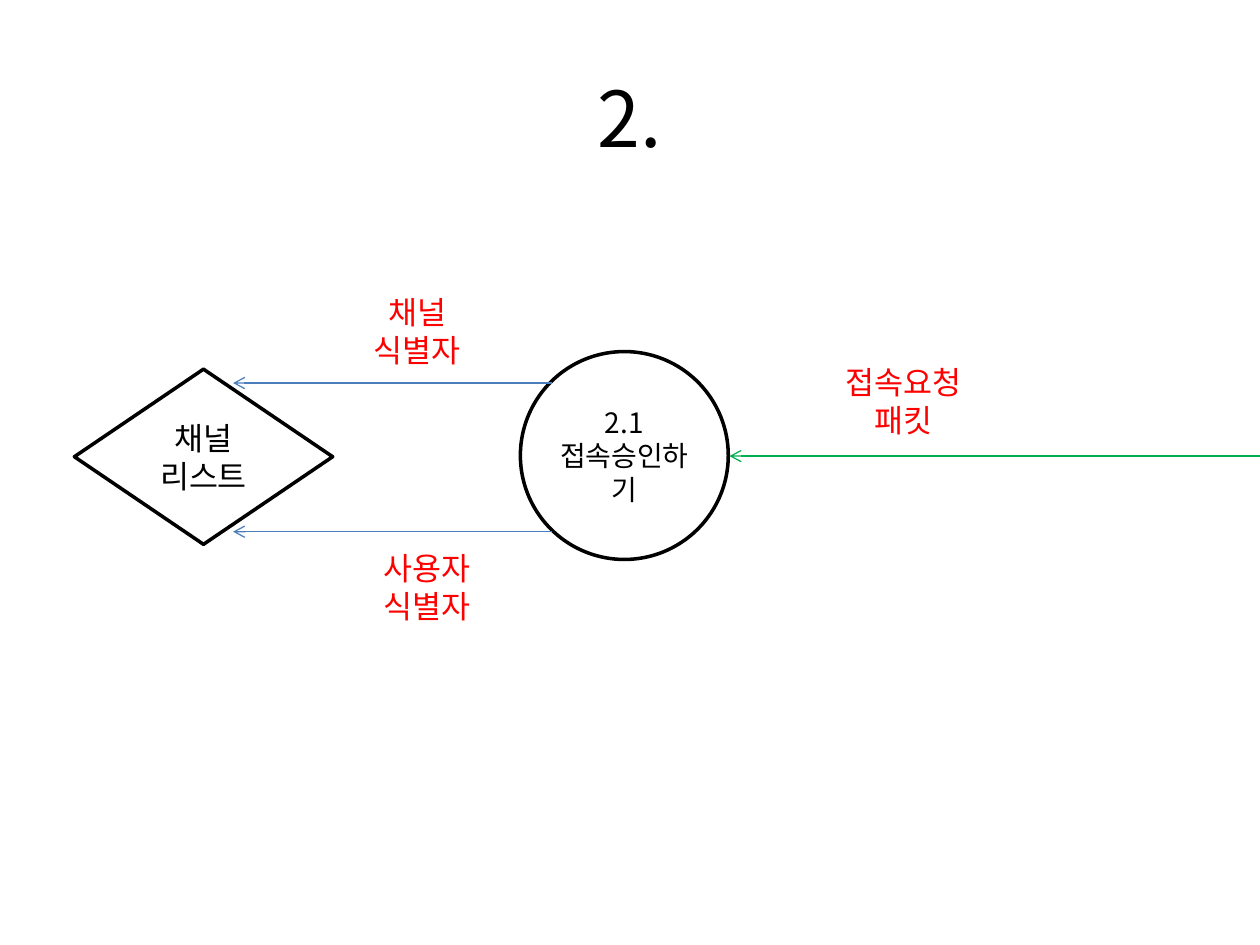
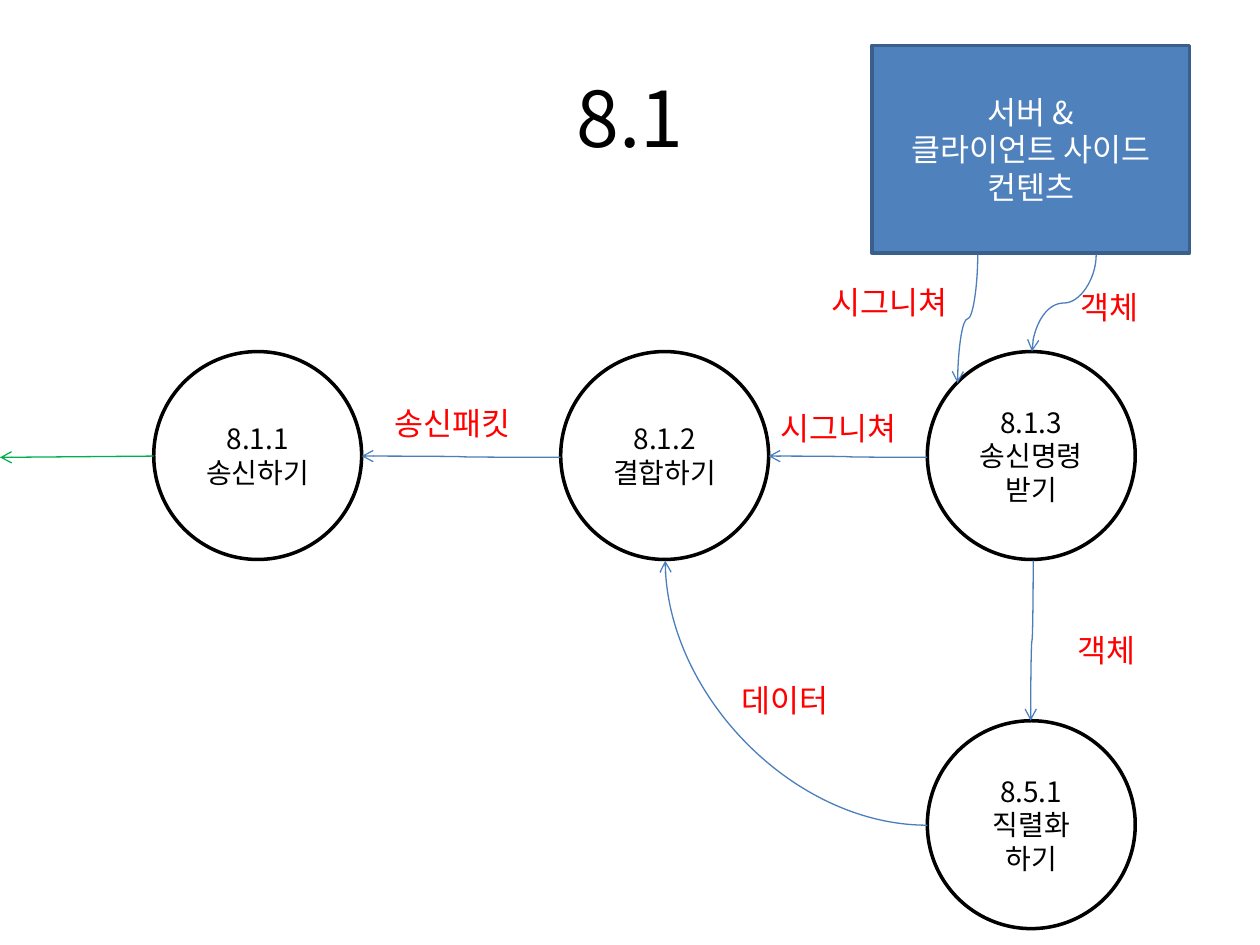
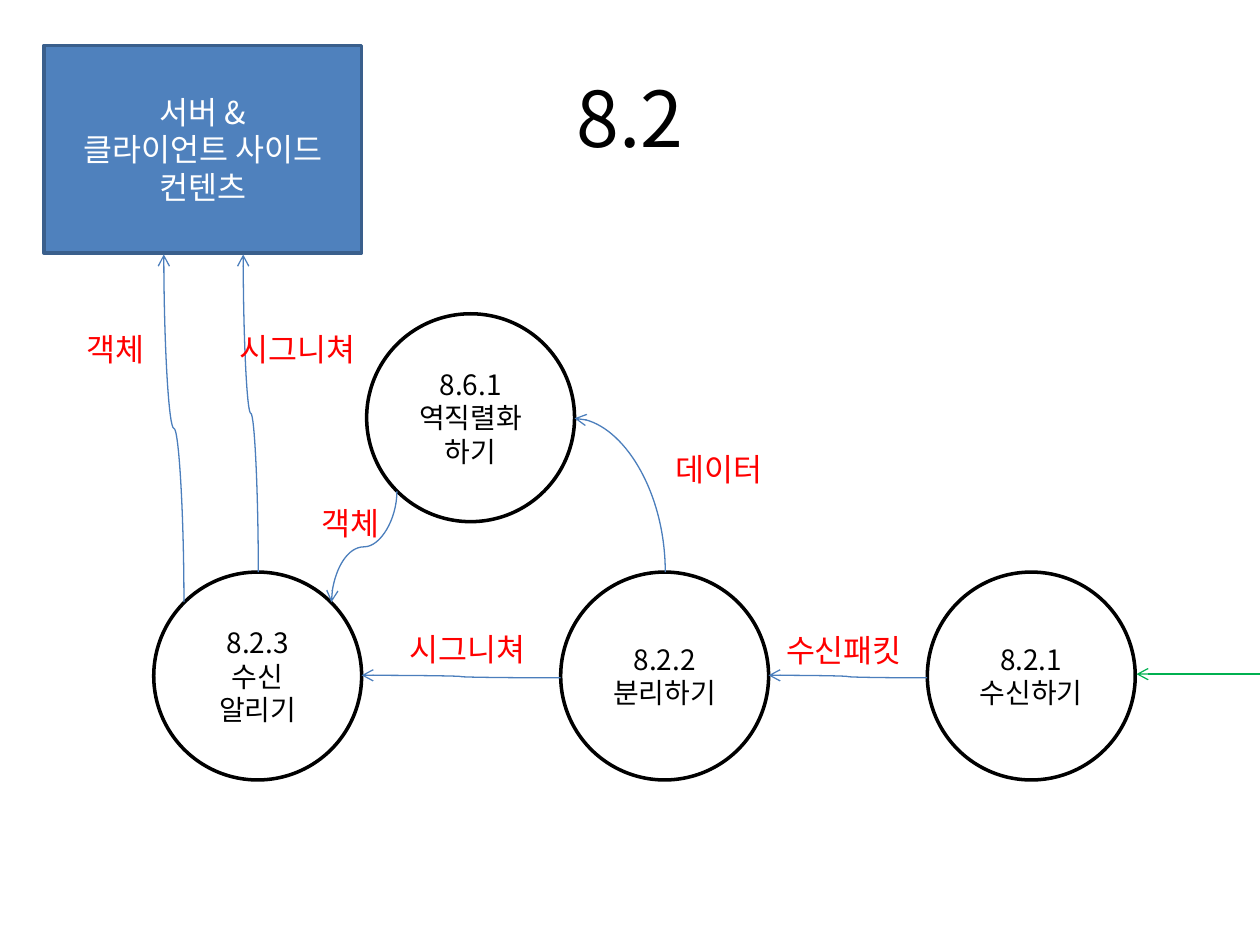
from pptx import Presentation
from pptx.dml.color import RGBColor
from pptx.enum.shapes import MSO_CONNECTOR as Link, MSO_SHAPE as Preset
from pptx.enum.text import MSO_ANCHOR as Anchor, MSO_AUTO_SIZE as AutoSize, PP_ALIGN as Align
from pptx.oxml.ns import qn
from pptx.util import Inches, Pt
from lxml import etree

# Shared style
FONT = "Noto Sans CJK KR"
BLACK = RGBColor(0x00, 0x00, 0x00)
WHITE = RGBColor(0xFF, 0xFF, 0xFF)
RED = RGBColor(0xFF, 0x00, 0x00)
GREEN = RGBColor(0x00, 0xB0, 0x50)
FLOW_BLUE = RGBColor(0x4B, 0x7E, 0xBC)
BOX_BLUE = RGBColor(0x4F, 0x81, 0xBD)
BOX_EDGE = RGBColor(0x3A, 0x5F, 0x8C)

# Shared grid, in inches
CIRCLE = 1.65
COLUMNS = (1.22, 4.45, 7.36)
CONTENT_TEXT = "서버 &\n클라이언트 사이드\n컨텐츠"


def write_text(frame, text, size=18, color=BLACK, align=Align.CENTER,
               anchor=Anchor.MIDDLE, inset=None):
    """Fill a text frame, one paragraph for each line of text."""
    frame.word_wrap = True
    frame.vertical_anchor = anchor
    if inset is not None:
        frame.margin_left = frame.margin_right = Inches(inset)
        frame.margin_top = frame.margin_bottom = Inches(inset)
    for index, line in enumerate(text.split("\n")):
        para = frame.paragraphs[0] if index == 0 else frame.add_paragraph()
        para.alignment = align
        span = para.add_run()
        span.text = line
        span.font.name = FONT
        span.font.size = Pt(size)
        span.font.color.rgb = color
        east_asian = etree.SubElement(span.font._element, qn("a:ea"))
        east_asian.set("typeface", FONT)


def add_page(deck, title):
    page = deck.slides.add_slide(deck.slide_layouts[6])
    box = page.shapes.add_textbox(Inches(0.5), Inches(0.3), Inches(9), Inches(1.25))
    write_text(box.text_frame, title, size=44)
    return page


def add_node(page, preset, left, top, width, height, text,
             fill=WHITE, edge=BLACK, **text_format):
    node = page.shapes.add_shape(
        preset, Inches(left), Inches(top), Inches(width), Inches(height))
    node.shadow.inherit = False
    node.fill.solid()
    node.fill.fore_color.rgb = fill
    node.line.color.rgb = edge
    node.line.width = Pt(2)
    write_text(node.text_frame, text, **text_format)


def add_process(page, left, top, text):
    add_node(page, Preset.OVAL, left, top, CIRCLE, CIRCLE, text, size=16, inset=0.04)


def add_content_box(page, left):
    add_node(page, Preset.RECTANGLE, left, 0.36, 2.52, 1.65, CONTENT_TEXT,
             fill=BOX_BLUE, edge=BOX_EDGE, color=WHITE)


def add_label(page, left, top, width, text, height=0.4, align=Align.LEFT):
    box = page.shapes.add_textbox(
        Inches(left), Inches(top), Inches(width), Inches(height))
    write_text(box.text_frame, text, color=RED, align=align, anchor=Anchor.TOP)
    box.text_frame.auto_size = AutoSize.SHAPE_TO_FIT_TEXT


def add_arrow(page, start, end, color=FLOW_BLUE, kind=Link.STRAIGHT):
    arrow = page.shapes.add_connector(kind, *(Inches(value) for value in start + end))
    arrow.line.color.rgb = color
    arrow.line.width = Pt(0.75)
    tail = etree.SubElement(arrow.line._get_or_add_ln(), qn("a:tailEnd"))
    tail.set("type", "arrow")
    etree.SubElement(arrow.element.spPr, qn("a:effectLst"))
    return arrow


def make_quarter(arrow):
    """Turn an S-curve into a single quarter bend."""
    arrow.element.spPr.find(qn("a:prstGeom")).set("prst", "curvedConnector2")


def add_curve(page, start, end):
    """Curve that leaves its start horizontally."""
    return add_arrow(page, start, end, kind=Link.CURVE)


def add_upright_curve(page, start, end):
    """Curve that leaves its start vertically and runs to the left."""
    (x1, y1), (x2, y2) = start, end
    middle_x, middle_y = (x1 + x2) / 2, (y1 + y2) / 2
    half_length, half_drift = abs(y2 - y1) / 2, (x1 - x2) / 2
    downward = y2 > y1
    rise = half_drift if downward else -half_drift
    # The unturned box lies on its side around the same middle
    arrow = add_curve(page, (middle_x - half_length, middle_y - rise),
                      (middle_x + half_length, middle_y + rise))
    turn = 90 if downward else 270
    arrow.element.spPr.find(qn("a:xfrm")).set("rot", str(turn * 60000))
    return arrow


def build_connection_page(deck):
    page = add_page(deck, "2.")
    add_process(page, 4.13, 2.79, "2.1\n접속승인하기")
    add_node(page, Preset.FLOWCHART_DECISION, 0.59, 2.93, 2.05, 1.39, "채널\n리스트")
    add_arrow(page, (10, 3.62), (5.79, 3.62), color=GREEN)
    for y in (3.04, 4.22):
        add_arrow(page, (4.38, y), (1.85, y))
    for left, top, text in ((6.42, 2.83, "접속요청 패킷"),
                            (2.56, 2.28, "채널\n식별자"),
                            (2.64, 4.31, "사용자\n식별자")):
        add_label(page, left, top, 1.5, text, height=0.71, align=Align.CENTER)


def build_sending_page(deck):
    page = add_page(deck, "8.1")
    # Processes
    names = ("8.1.1\n송신하기", "8.1.2\n결합하기", "8.1.3\n송신명령\n받기")
    for left, name in zip(COLUMNS, names):
        add_process(page, left, 2.79, name)
    add_process(page, COLUMNS[2], 5.72, "8.5.1\n직렬화\n하기")
    add_content_box(page, 6.92)
    # Flows
    add_curve(page, (7.36, 3.63), (6.1, 3.62))
    add_curve(page, (4.45, 3.63), (2.87, 3.62))
    make_quarter(add_curve(page, (7.36, 6.55), (5.28, 4.45)))
    add_upright_curve(page, (8.2, 4.45), (8.18, 5.72))
    add_upright_curve(page, (7.76, 2.02), (7.6, 3.04))
    add_upright_curve(page, (8.7, 2.02), (8.19, 2.79))
    add_arrow(page, (1.22, 3.62), (0, 3.63), color=GREEN)
    # Labels
    for left, top, width, text in ((6.1, 3.2, 1.5, "시그니쳐"),
                                   (5.79, 5.36, 1.06, "데이터"),
                                   (6.5, 2.2, 1.5, "시그니쳐"),
                                   (8.48, 2.24, 0.85, "객체"),
                                   (8.45, 4.96, 0.85, "객체"),
                                   (3.03, 3.16, 1.5, "송신패킷")):
        add_label(page, left, top, width, text)


def build_receiving_page(deck):
    page = add_page(deck, "8.2")
    # Processes
    names = ("8.2.3\n수신\n알리기", "8.2.2\n분리하기", "8.2.1\n수신하기")
    for left, name in zip(COLUMNS, names):
        add_process(page, left, 4.54, name)
    add_process(page, 2.91, 2.49, "8.6.1\n역직렬화\n하기")
    add_content_box(page, 0.35)
    # Flows
    add_arrow(page, (10, 5.35), (9.02, 5.35), color=GREEN)
    add_curve(page, (7.36, 5.38), (6.1, 5.36))
    add_curve(page, (4.45, 5.38), (2.87, 5.36))
    make_quarter(add_upright_curve(page, (5.28, 4.54), (4.56, 3.32)))
    add_upright_curve(page, (3.15, 3.9), (2.63, 4.78))
    add_upright_curve(page, (1.46, 4.78), (1.3, 2.02))
    add_upright_curve(page, (2.05, 4.54), (1.93, 2.02))
    # Labels
    for left, top, width, text in ((6.14, 4.96, 1.5, "수신패킷"),
                                   (5.26, 3.52, 1.06, "데이터"),
                                   (3.15, 4.95, 1.3, "시그니쳐"),
                                   (2.45, 3.95, 0.77, "객체"),
                                   (0.59, 2.57, 0.77, "객체"),
                                   (1.8, 2.57, 1.3, "시그니쳐")):
        add_label(page, left, top, width, text)


def main():
    deck = Presentation()
    deck.slide_width = Inches(10)
    deck.slide_height = Inches(7.5)
    build_connection_page(deck)
    build_sending_page(deck)
    build_receiving_page(deck)
    deck.save("out.pptx")


main()
